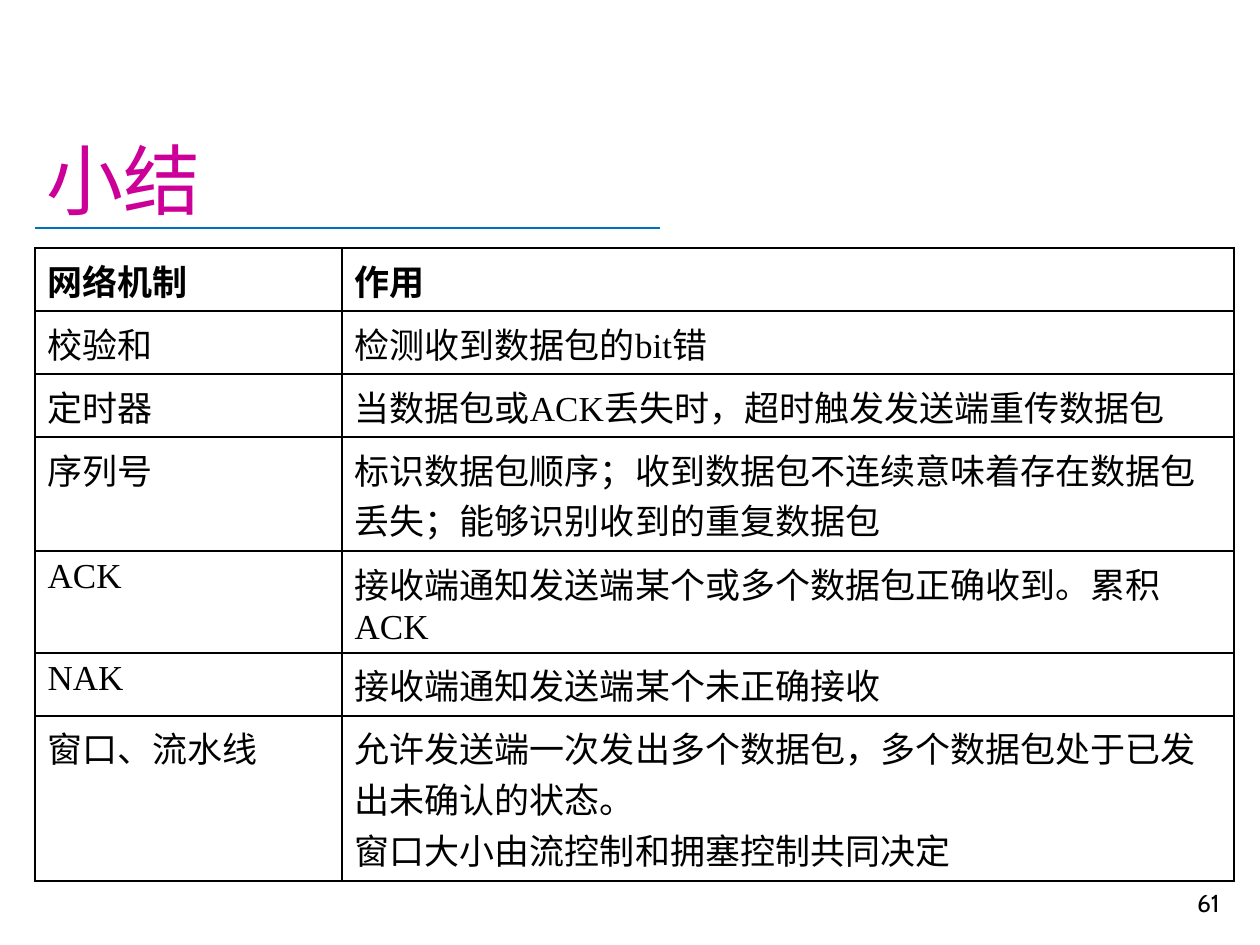
from lxml.etree import SubElement
from pptx import Presentation
from pptx.dml.color import RGBColor as RGB
from pptx.enum.shapes import MSO_CONNECTOR as CONN
from pptx.enum.text import MSO_ANCHOR as ANCHOR, PP_ALIGN as ALIGN
from pptx.oxml.ns import qn
from pptx.util import Emu, Pt

SCALE = 914400 / 126
HUES = {"title": "CC0099", "rule": "0070C0", "ink": "000000"}

ROWS = [
    ("网络机制", "作用"),
    ("校验和", "检测收到数据包的bit错"),
    ("定时器", "当数据包或ACK丢失时，超时触发发送端重传数据包"),
    ("序列号", "标识数据包顺序；收到数据包不连续意味着存在数据包丢失；能够识别收到的重复数据包"),
    ("ACK", "接收端通知发送端某个或多个数据包正确收到。累积ACK"),
    ("NAK", "接收端通知发送端某个未正确接收"),
    ("窗口、流水线", "允许发送端一次发出多个数据包，多个数据包处于已发出未确认的状态。\n"
     "窗口大小由流控制和拥塞控制共同决定"),
]
WIDTHS = [307, 892]
HEIGHTS = [63, 63, 63, 114, 102, 63, 165]


def px(n):
    return Emu(round(n * SCALE))


def style(frame, size, face, hue, bold=False, align=ALIGN.LEFT):
    for para in frame.paragraphs:
        para.alignment = align
        for run in para.runs:
            font = run.font
            font.size, font.name, font.bold = Pt(size), face, bold
            font.color.rgb = RGB.from_string(HUES[hue])


def add_text(slide, box, text, size, hue, align=ALIGN.LEFT):
    frame = slide.shapes.add_textbox(*map(px, box)).text_frame
    frame.word_wrap = True
    frame.vertical_anchor = ANCHOR.BOTTOM
    frame.text = text
    style(frame, size, "Cabin", hue, align=align)


def add_rule(slide, left, right, y):
    rule = slide.shapes.add_connector(CONN.STRAIGHT, *map(px, (left, y, right, y)))
    rule.line.color.rgb = RGB.from_string(HUES["rule"])
    rule.line.width = Pt(1.25)
    SubElement(rule._element.spPr, qn("a:effectLst"))


def add_border(cell):
    props = cell._tc.get_or_add_tcPr()
    for spot, side in enumerate(("lnL", "lnR", "lnT", "lnB")):
        line = SubElement(props, qn(f"a:{side}"), w=str(Pt(1)))
        fill = SubElement(line, qn("a:solidFill"))
        SubElement(fill, qn("a:srgbClr"), val=HUES["ink"])
        props.insert(spot, line)  # borders come before the fill


def add_grid(slide, left, top):
    box = map(px, (left, top, sum(WIDTHS), sum(HEIGHTS)))
    grid = slide.shapes.add_table(len(ROWS), len(WIDTHS), *box).table
    grid.horz_banding = False
    for col, width in zip(grid.columns, WIDTHS):
        col.width = px(width)
    for row, height in zip(grid.rows, HEIGHTS):
        row.height = px(height)
    for r, texts in enumerate(ROWS):
        for c, text in enumerate(texts):
            cell = grid.cell(r, c)
            cell.text_frame.text = text
            style(cell.text_frame, 20, "Times New Roman", "ink", bold=r == 0)
            cell.fill.background()
            add_border(cell)


def main():
    deck = Presentation()
    deck.slide_width, deck.slide_height = px(1260), px(945)
    slide = deck.slides.add_slide(deck.slide_layouts[6])

    # Title and the rule under it
    add_rule(slide, 35, 660, 228)
    add_text(slide, (34, 29, 1198, 202), "小结", 44, "title")

    # Table of mechanisms
    add_grid(slide, 35, 248)

    # Page number
    add_text(slide, (970, 861, 262, 63), "61", 14, "ink", ALIGN.RIGHT)

    deck.save("out.pptx")


if __name__ == "__main__":
    main()
